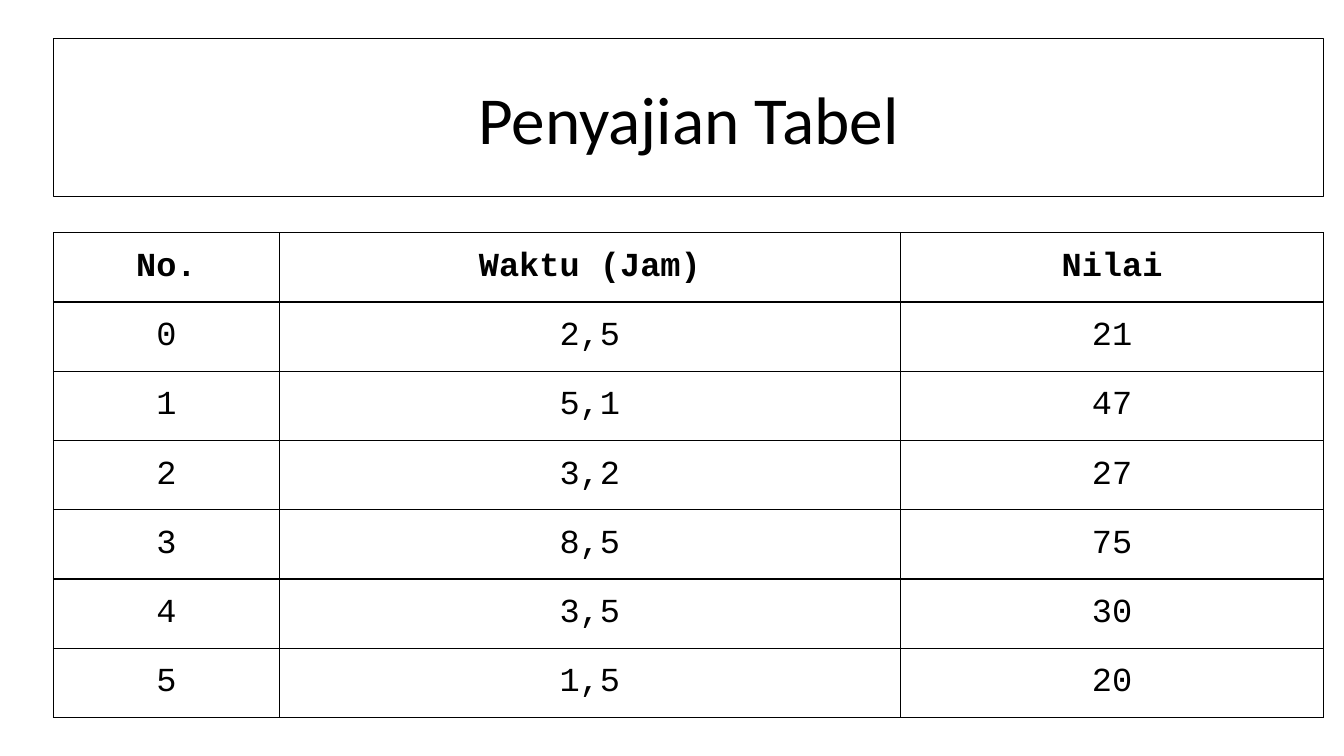
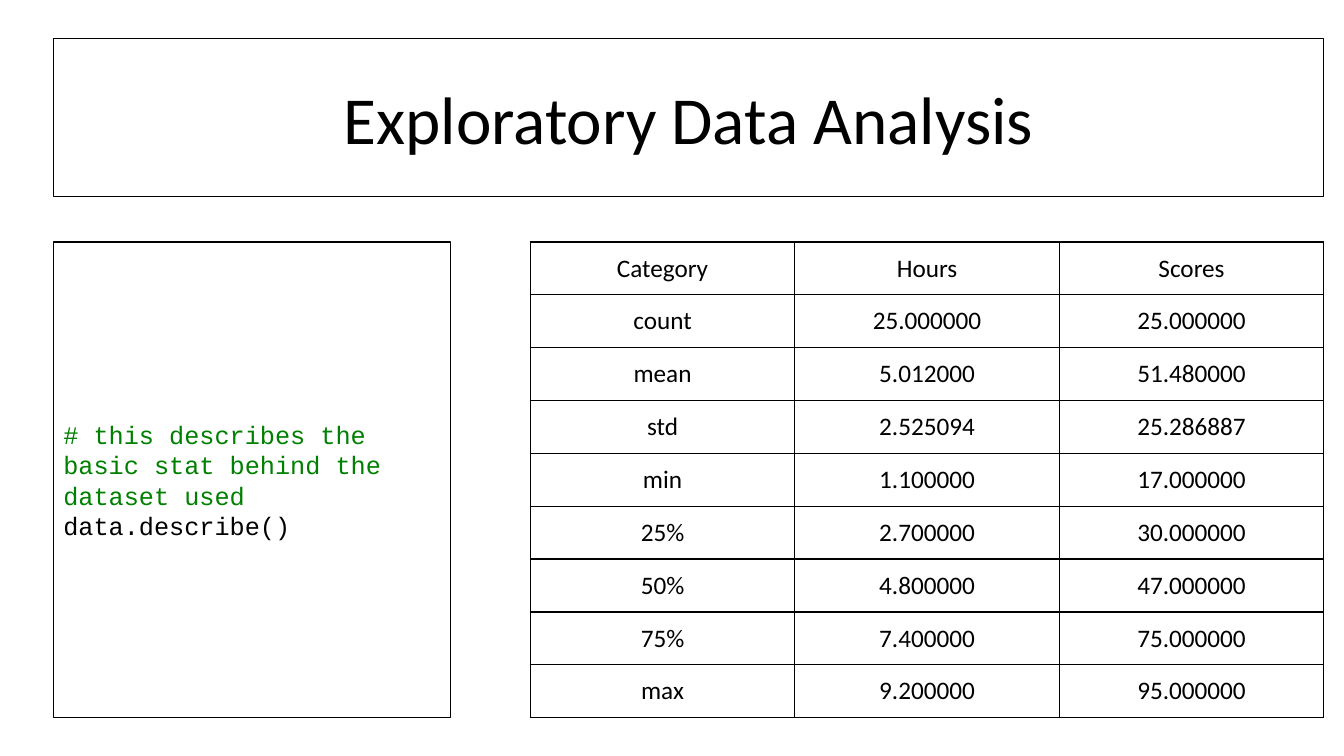
"""Build two slides that present study data in tables."""
from dataclasses import dataclass

from lxml.etree import SubElement
from pptx import Presentation
from pptx.dml.color import RGBColor
from pptx.enum.shapes import MSO_SHAPE
from pptx.enum.text import MSO_ANCHOR, MSO_AUTO_SIZE, PP_ALIGN
from pptx.oxml.ns import qn
from pptx.util import Inches, Pt


@dataclass(frozen=True)
class Theme:
    """Colours, fonts, type sizes and shared edges."""

    ink: str = "000000"
    paper: str = "FFFFFF"
    comment: str = "008000"
    sans: str = "Calibri"
    mono: str = "Courier New"
    title_size: int = 48
    large_size: int = 24
    small_size: int = 18
    line_width: int = 1
    left: float = 0.53
    right: float = 13.13
    bottom: float = 7.12


THEME = Theme()
TITLE_ONLY = 5
TITLE_TOP, TITLE_HEIGHT = 0.38, 1.57
CODE_TOP, CODE_WIDTH, STATISTICS_LEFT = 2.4, 3.94, 5.26

STUDY_ROWS = [
    ("No.", "Waktu (Jam)", "Nilai"),
    ("0", "2,5", "21"),
    ("1", "5,1", "47"),
    ("2", "3,2", "27"),
    ("3", "8,5", "75"),
    ("4", "3,5", "30"),
    ("5", "1,5", "20"),
]
STATISTICS_ROWS = [
    ("Category", "Hours", "Scores"),
    ("count", "25.000000", "25.000000"),
    ("mean", "5.012000", "51.480000"),
    ("std", "2.525094", "25.286887"),
    ("min", "1.100000", "17.000000"),
    ("25%", "2.700000", "30.000000"),
    ("50%", "4.800000", "47.000000"),
    ("75%", "7.400000", "75.000000"),
    ("max", "9.200000", "95.000000"),
]


def set_attributes(target, values):
    """Set each named attribute of the target."""
    for name, value in values.items():
        setattr(target, name, value)


def write_paragraph(paragraph, text, font, size, color=THEME.ink,
                    bold=False, alignment=PP_ALIGN.CENTER):
    """Write one formatted run into a paragraph."""
    paragraph.alignment = alignment
    run = paragraph.add_run()
    run.text = text
    set_attributes(run.font, {"name": font, "size": Pt(size), "bold": bold})
    run.font.color.rgb = RGBColor.from_string(color)


def fill_paper(target):
    """Fill a shape or cell with the paper colour."""
    target.fill.solid()
    target.fill.fore_color.rgb = RGBColor.from_string(THEME.paper)


def frame_box(shape):
    """Give a shape the shared fill, outline and text frame."""
    fill_paper(shape)
    shape.line.color.rgb = RGBColor.from_string(THEME.ink)
    shape.line.width = Pt(THEME.line_width)
    set_attributes(shape.text_frame, {
        "word_wrap": True,
        "auto_size": MSO_AUTO_SIZE.NONE,
        "vertical_anchor": MSO_ANCHOR.MIDDLE,
    })


def add_titled_slide(presentation, title):
    """Add a slide with a framed title."""
    slide = presentation.slides.add_slide(presentation.slide_layouts[TITLE_ONLY])
    shape = slide.shapes.title
    set_attributes(shape, {
        "left": Inches(THEME.left),
        "top": Inches(TITLE_TOP),
        "width": Inches(THEME.right - THEME.left),
        "height": Inches(TITLE_HEIGHT),
    })
    frame_box(shape)
    write_paragraph(shape.text_frame.paragraphs[0], title, THEME.sans, THEME.title_size)
    return slide


def add_code_box(slide, top, width, lines):
    """Add a framed box of coloured code lines."""
    shape = slide.shapes.add_shape(
        MSO_SHAPE.RECTANGLE, Inches(THEME.left), Inches(top),
        Inches(width), Inches(THEME.bottom - top))
    shape.shadow.inherit = False
    frame_box(shape)
    frame = shape.text_frame
    for index, (text, color) in enumerate(lines):
        paragraph = frame.add_paragraph() if index else frame.paragraphs[0]
        write_paragraph(paragraph, text, THEME.mono, THEME.small_size,
                        color, alignment=PP_ALIGN.LEFT)


def add_borders(cell):
    """Draw a line on all four sides of a cell."""
    properties = cell._tc.get_or_add_tcPr()
    for side in ("lnL", "lnR", "lnT", "lnB"):
        line = SubElement(properties, qn(f"a:{side}"), w=str(Pt(THEME.line_width)))
        fill = SubElement(line, qn("a:solidFill"))
        SubElement(fill, qn("a:srgbClr"), val=THEME.ink)


def add_grid(slide, left, top, rows, widths, font, size, bold_header=False):
    """Add a ruled table that ends at the shared bottom edge."""
    height = THEME.bottom - top
    table = slide.shapes.add_table(
        len(rows), len(widths), Inches(left), Inches(top),
        Inches(sum(widths)), Inches(height)).table
    set_attributes(table, {"first_row": False, "horz_banding": False})
    for column, width in zip(table.columns, widths):
        column.width = Inches(width)
    for row_index, (row, texts) in enumerate(zip(table.rows, rows)):
        row.height = Inches(height / len(rows))
        for cell, text in zip(row.cells, texts):
            add_borders(cell)
            fill_paper(cell)
            cell.vertical_anchor = MSO_ANCHOR.MIDDLE
            write_paragraph(cell.text_frame.paragraphs[0], text, font, size,
                            bold=bold_header and row_index == 0)


def build_study_slide(presentation):
    """Build the slide of study hours and scores."""
    slide = add_titled_slide(presentation, "Penyajian Tabel")
    add_grid(slide, THEME.left, 2.31, STUDY_ROWS, [2.24, 6.16, 4.2],
             THEME.mono, THEME.large_size, bold_header=True)


def build_statistics_slide(presentation):
    """Build the slide of code and its summary statistics."""
    slide = add_titled_slide(presentation, "Exploratory Data Analysis")
    add_code_box(slide, CODE_TOP, CODE_WIDTH, [
        ("# this describes the basic stat behind the dataset used", THEME.comment),
        ("data.describe()", THEME.ink),
    ])
    column_width = (THEME.right - STATISTICS_LEFT) / 3
    add_grid(slide, STATISTICS_LEFT, CODE_TOP, STATISTICS_ROWS,
             [column_width] * 3, THEME.sans, THEME.small_size)


def main():
    """Build and save the presentation."""
    presentation = Presentation()
    set_attributes(presentation, {
        "slide_width": Inches(13.33), "slide_height": Inches(7.5)})
    build_study_slide(presentation)
    build_statistics_slide(presentation)
    presentation.save("out.pptx")


if __name__ == "__main__":
    main()
